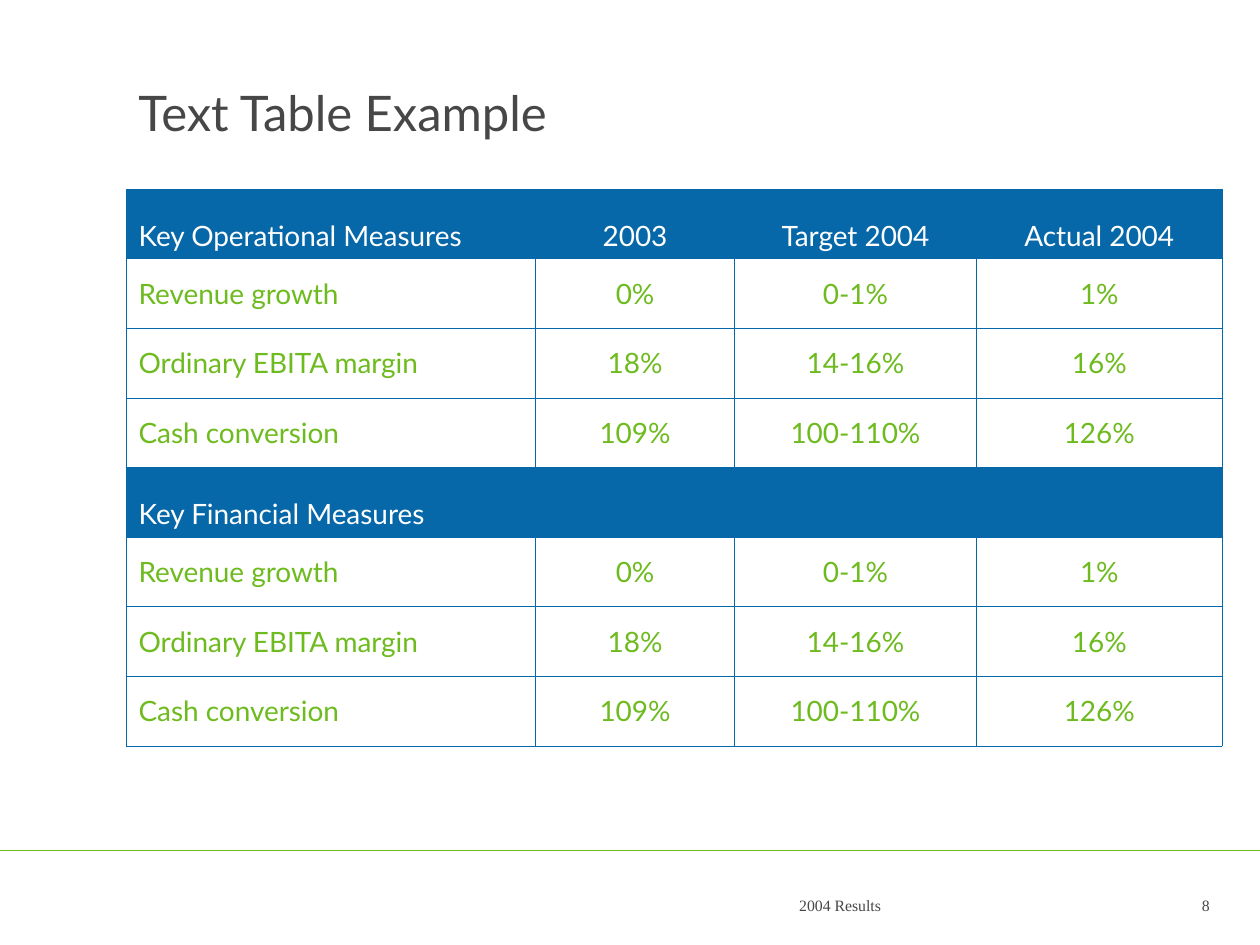
from lxml.etree import SubElement
from pptx import Presentation
from pptx.dml.color import RGBColor
from pptx.enum.shapes import MSO_CONNECTOR as Connector
from pptx.enum.text import MSO_ANCHOR as Anchor, PP_ALIGN as Align
from pptx.oxml.ns import qn
from pptx.util import Inches, Pt

BLUE = RGBColor(0x07, 0x68, 0xA9)
GREEN = RGBColor(0x6E, 0xBB, 0x1F)
GREY = RGBColor(0x47, 0x47, 0x47)
WHITE = RGBColor(0xFF, 0xFF, 0xFF)

COLUMN_WIDTHS = (3.25, 1.58, 1.92, 1.95)
MEASURES = [
    ("Revenue growth", "0%", "0-1%", "1%"),
    ("Ordinary EBITA margin", "18%", "14-16%", "16%"),
    ("Cash conversion", "109%", "100-110%", "126%"),
]
ROWS = [
    ("Key Operational Measures", "2003", "Target 2004", "Actual 2004"),
    *MEASURES,
    ("Key Financial Measures", "", "", ""),
    *MEASURES,
]
HEADER_ROWS = (0, len(MEASURES) + 1)


def write(frame, text, font, size, color, align=Align.LEFT, space_before=0):
    para = frame.paragraphs[0]
    para.alignment = align
    para.space_before = Pt(space_before)
    span = para.add_run()
    span.text = text
    span.font.name = font
    span.font.size = Pt(size)
    span.font.color.rgb = color


def add_text(page, box, anchor, *style):
    frame = page.shapes.add_textbox(*map(Inches, box)).text_frame
    frame.word_wrap = True
    frame.vertical_anchor = anchor
    write(frame, *style)


def add_title(page, box):
    add_text(page, box, Anchor.BOTTOM, "Text Table Example", "Lato", 28, GREY,
             Align.LEFT, 10.5)


def set_borders(cell):
    properties = cell._tc.get_or_add_tcPr()
    for side in ("a:lnL", "a:lnR", "a:lnT", "a:lnB"):
        line = SubElement(properties, qn(side), w=str(Pt(0.34)))
        fill = SubElement(line, qn("a:solidFill"))
        SubElement(fill, qn("a:srgbClr"), val=str(BLUE))


def add_measures_table(page, box):
    left, top, width, height = map(Inches, box)
    table = page.shapes.add_table(
        len(ROWS), len(COLUMN_WIDTHS), left, top, width, height).table
    table.first_row = False
    table.horz_banding = False
    for column, column_width in zip(table.columns, COLUMN_WIDTHS):
        column.width = Inches(column_width)
    for row_index, values in enumerate(ROWS):
        is_header = row_index in HEADER_ROWS
        for column_index, value in enumerate(values):
            cell = table.cell(row_index, column_index)
            set_borders(cell)
            cell.fill.solid()
            cell.fill.fore_color.rgb = BLUE if is_header else WHITE
            cell.vertical_anchor = Anchor.BOTTOM if is_header else Anchor.MIDDLE
            if value:
                write(cell.text_frame, value, "Lato", 16,
                      WHITE if is_header else GREEN,
                      Align.CENTER if column_index else Align.LEFT, 10)


def add_footer(page, box):
    left, top, width, height = box
    rule = page.shapes.add_connector(
        Connector.STRAIGHT, Inches(left), Inches(top),
        Inches(left + width), Inches(top))
    rule.line.color.rgb = GREEN
    rule.line.width = Pt(1)
    SubElement(rule._element.spPr, qn("a:effectLst"))
    for text, text_left, text_width in (("2004 Results", 3.92, 3.17),
                                        ("8", 9.17, 0.53)):
        add_text(page, (left + text_left, top + 0.3, text_width, 0.27),
                 Anchor.MIDDLE, text, "Times New Roman", 9, GREY, Align.RIGHT)


def main():
    deck = Presentation()
    deck.slide_width = Inches(10)
    deck.slide_height = Inches(7.5)
    page = deck.slides.add_slide(deck.slide_layouts[6])
    page.background.fill.solid()
    page.background.fill.fore_color.rgb = WHITE
    add_title(page, (1, 0.6, 8.7, 0.57))
    add_measures_table(page, (1, 1.5, 8.7, 4.42))
    add_footer(page, (0, 6.75, 10, 0.75))
    deck.save("out.pptx")


if __name__ == "__main__":
    main()
